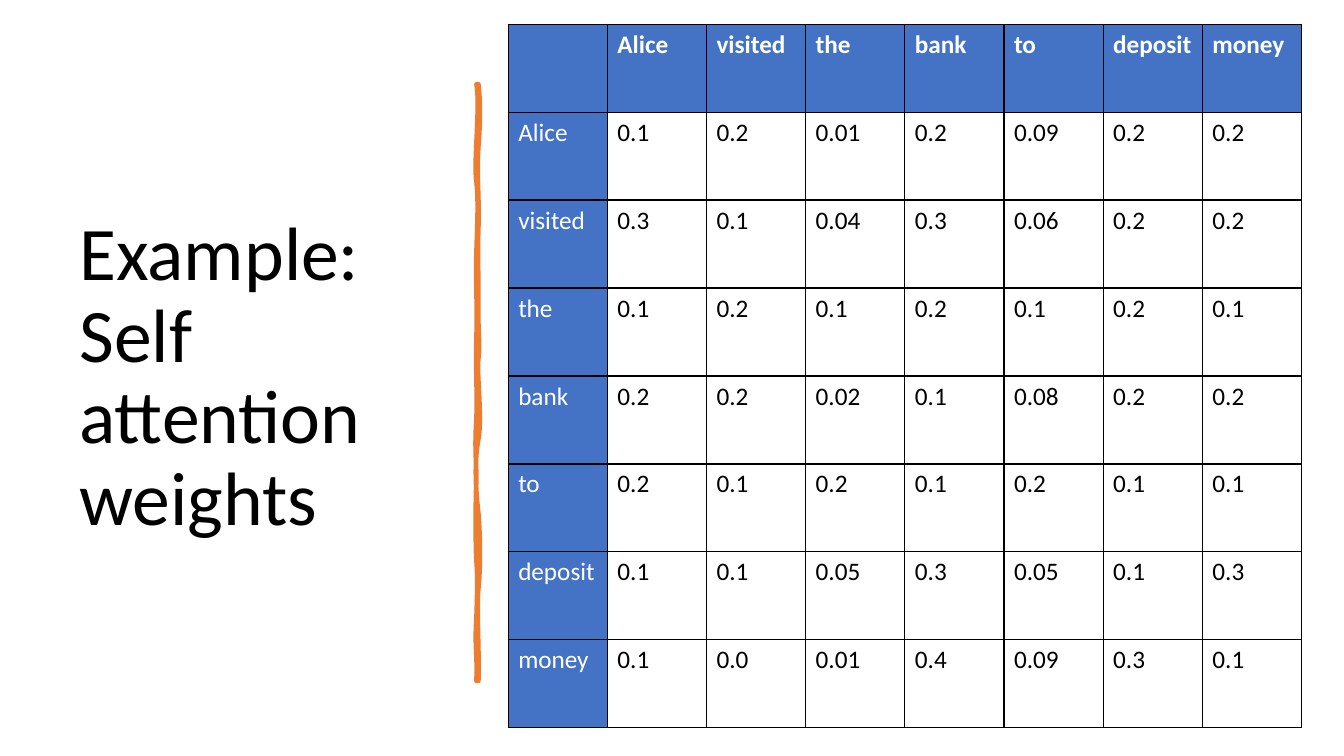
from pptx import Presentation, util as u
from pptx.dml.color import RGBColor
from pptx.enum import text
from pptx.oxml import parse_xml
from pptx.oxml.ns import nsdecls, qn

# Content
TITLE = "Example: Self attention weights"
WORDS = ["Alice", "visited", "the", "bank", "to", "deposit", "money"]
WEIGHTS = [
    ["0.1", "0.2", "0.01", "0.2", "0.09", "0.2", "0.2"],
    ["0.3", "0.1", "0.04", "0.3", "0.06", "0.2", "0.2"],
    ["0.1", "0.2", "0.1", "0.2", "0.1", "0.2", "0.1"],
    ["0.2", "0.2", "0.02", "0.1", "0.08", "0.2", "0.2"],
    ["0.2", "0.1", "0.2", "0.1", "0.2", "0.1", "0.1"],
    ["0.1", "0.1", "0.05", "0.3", "0.05", "0.1", "0.3"],
    ["0.1", "0.0", "0.01", "0.4", "0.09", "0.3", "0.1"],
]
COLORS = {"head": "4472C4", "body": "FFFFFF", "ink": "000000", "rule": "ED7D31"}
FONT = "Calibri"

# Brush stroke: start point, then cubic curves of two handles and an end
MID = (4.74, 3.8)
START = (4.75, 0.84)
CURVES = [
    [(4.77, 1.02), (4.77, 1.19), (4.75, 1.46)],
    [(4.73, 1.73), (4.76, 1.95), (4.75, 2.26)],
    [(4.74, 2.57), (4.75, 2.62), (4.75, 2.94)],
    [(4.74, 3.25), (4.77, 3.42), (4.75, 3.56)],
    [(4.73, 3.7), (4.79, 4.14), (4.75, 4.36)],
    [(4.71, 4.57), (4.72, 4.84), (4.75, 5.1)],
    [(4.77, 5.36), (4.77, 5.64), (4.75, 5.84)],
    [(4.73, 6.03), (4.76, 6.5), (4.75, 6.76)],
    [(4.74, 6.76), (4.73, 6.76), (4.73, 6.76)],
    [(4.74, 6.46), (4.71, 6.44), (4.73, 6.13)],
    [(4.74, 5.83), (4.74, 5.7), (4.73, 5.57)],
    [(4.72, 5.44), (4.72, 4.95), (4.73, 4.77)],
    [(4.73, 4.59), (4.71, 4.45), (4.73, 4.15)],
    [(4.74, 3.86), (4.72, 3.73), (4.73, 3.35)],
    [(4.74, 2.98), (4.72, 2.81), (4.73, 2.5)],
    [(4.74, 2.18), (4.75, 2), (4.73, 1.81)],
    [(4.7, 1.63), (4.77, 1.04), (4.73, 0.84)],
]


def color(name):
    return RGBColor.from_string(COLORS[name])


def style(para, size, name, bold=False):
    for font in [para.font] + [run.font for run in para.runs]:
        font.name, font.size, font.bold = FONT, u.Pt(size), bold
        font.color.rgb = color(name)


def lay(point):
    """Turn a point a quarter back, so that the stroke lies flat."""
    x, y = point
    return u.Inches(MID[0] + y - MID[1]), u.Inches(MID[1] + MID[0] - x)


def bend(shape):
    """Join each three straight segments into one cubic curve."""
    lines = list(shape._element.iter(qn("a:lnTo")))
    for at in range(0, len(lines), 3):
        curve = parse_xml(f'<a:cubicBezTo {nsdecls("a")}/>')
        lines[at].addprevious(curve)
        for line in lines[at:at + 3]:
            curve.append(line[0])
            line.getparent().remove(line)


def border(cell):
    props = cell._tc.get_or_add_tcPr()
    for at, side in enumerate(("lnL", "lnR", "lnT", "lnB")):
        props.insert(at, parse_xml(
            f'<a:{side} {nsdecls("a")} w="12700"><a:solidFill>'
            f'<a:srgbClr val="{COLORS["ink"]}"/></a:solidFill></a:{side}>'))


def main():
    deck = Presentation()
    deck.slide_width, deck.slide_height = u.Inches(13.33), u.Inches(7.5)
    slide = deck.slides.add_slide(deck.slide_layouts[6])

    # Title
    box = slide.shapes.add_textbox(*map(u.Inches, (0.69, 0.7, 3.74, 6.11)))
    frame = box.text_frame
    frame.word_wrap = True
    frame.vertical_anchor = text.MSO_ANCHOR.MIDDLE
    frame.text = TITLE
    frame.paragraphs[0].line_spacing = 0.9
    style(frame.paragraphs[0], 54, "ink")

    # Brush stroke
    build = slide.shapes.build_freeform(*lay(START))
    build.add_line_segments([lay(p) for curve in CURVES for p in curve], close=True)
    brush = build.convert_to_shape()
    bend(brush)
    brush.rotation = 90
    brush.shadow.inherit = False
    brush.fill.solid()
    brush.fill.fore_color.rgb = color("rule")
    brush.line.color.rgb = color("rule")
    brush.line.width = u.Pt(3.25)

    # Table of weights
    rows = [[""] + WORDS] + [[word] + line for word, line in zip(WORDS, WEIGHTS)]
    count = len(rows)
    table = slide.shapes.add_table(
        count, count, *map(u.Inches, (5.04, 0.24, 7.87, 6.98))).table
    for r, row in enumerate(rows):
        for c, value in enumerate(row):
            cell = table.cell(r, c)
            head = r == 0 or c == 0
            cell.text_frame.text = value
            style(cell.text_frame.paragraphs[0], 18, "body" if head else "ink", r == 0)
            cell.fill.solid()
            cell.fill.fore_color.rgb = color("head" if head else "body")
            border(cell)

    deck.save("out.pptx")


if __name__ == "__main__":
    main()
